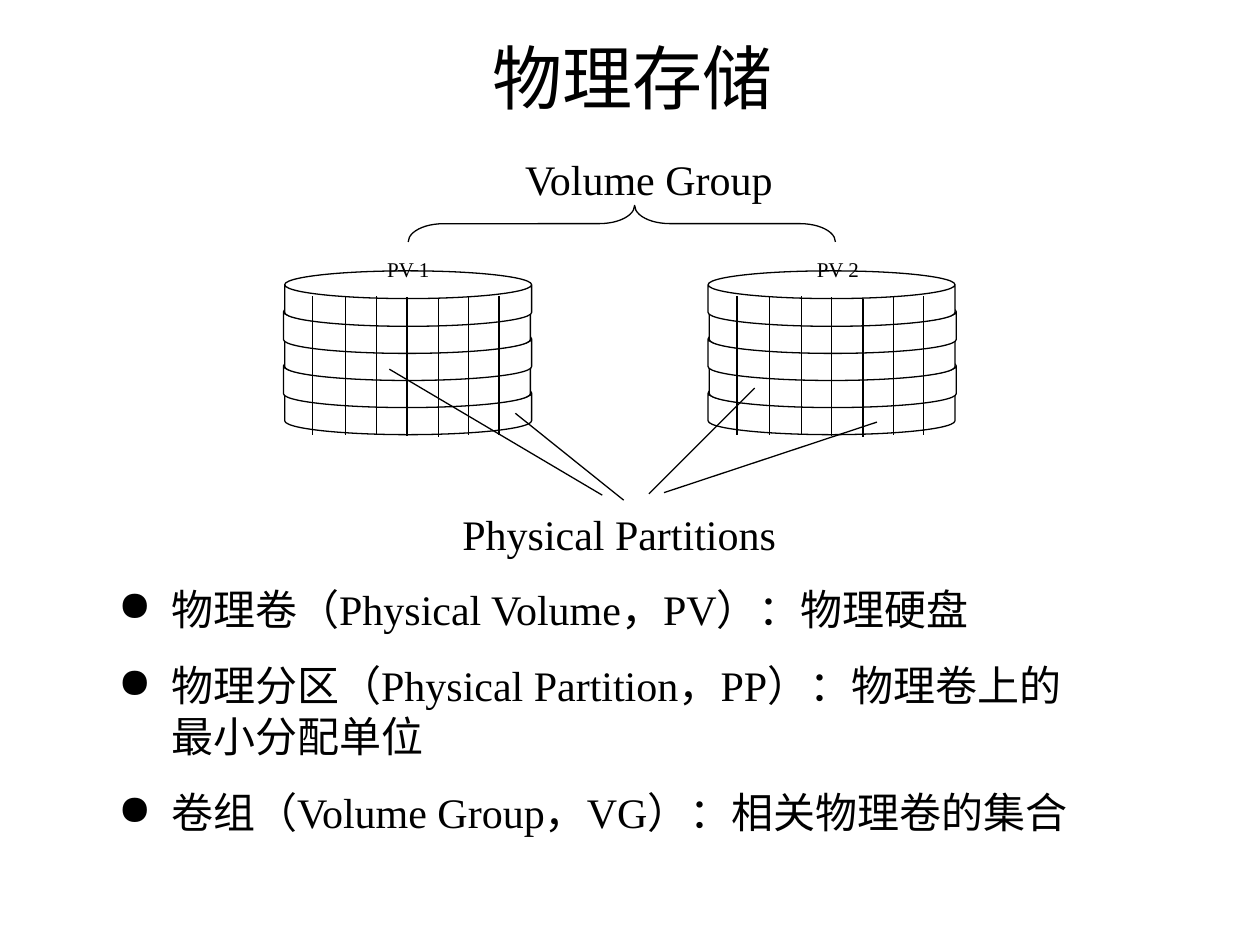
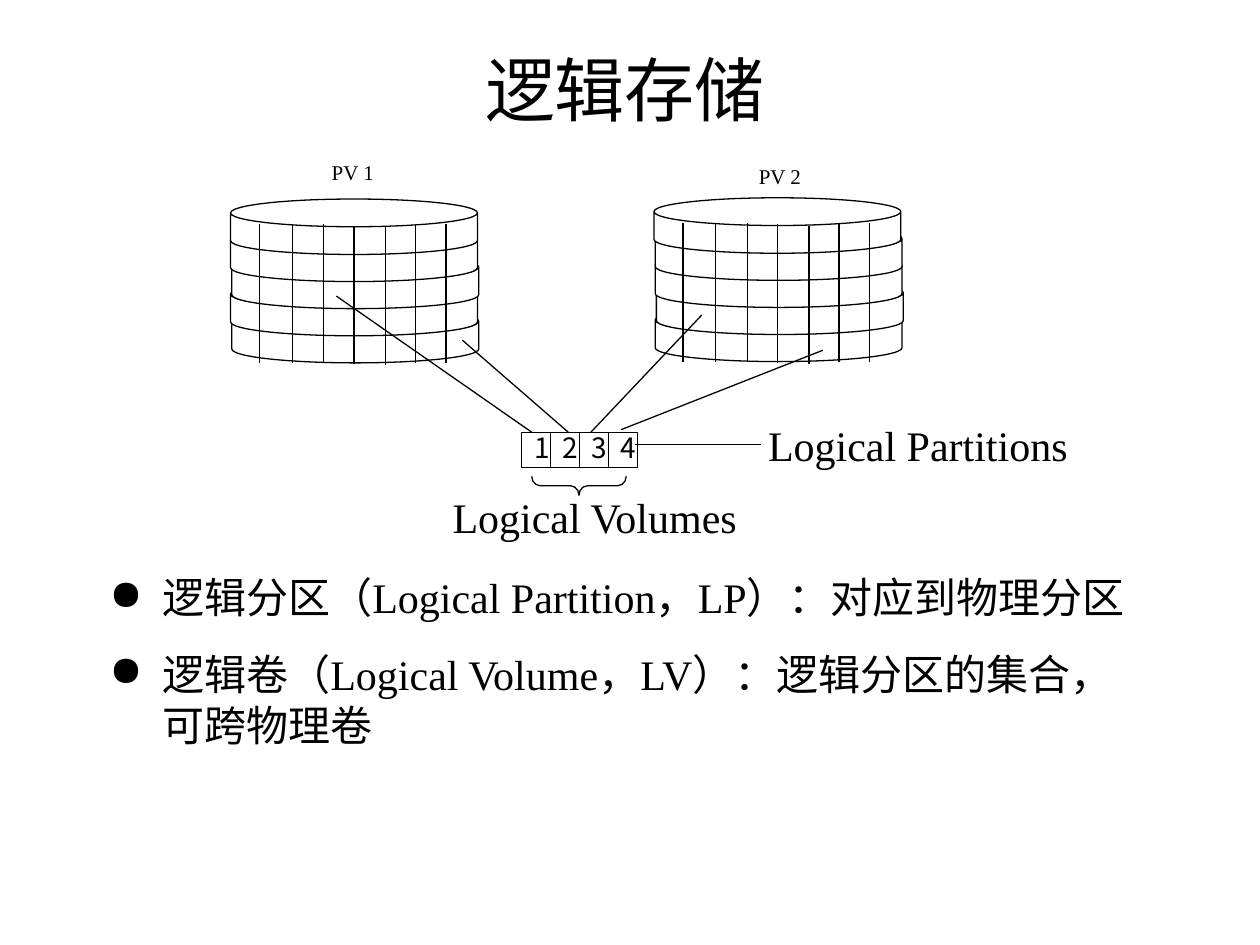
from pptx import Presentation
from pptx.util import Inches, Pt
from pptx.dml.color import RGBColor
from pptx.enum import shapes, text
from pptx.oxml import xmlchemy
from pptx.oxml.ns import qn
from lxml import etree

BLACK, WHITE = "000000", "FFFFFF"
SERIF, SANS = "Times New Roman", "Noto Sans CJK SC"
LINE_WIDTH = 0.75

PLATTER_SIZE = (1.96, 0.44)
PLATTER_PITCH = 0.215
TRACKS = [(0.23, 0.20), (0.49, 0.20), (0.74, 0.20), (0.98, 0.21),
          (1.23, 0.22), (1.47, 0.20), (1.71, 0.20)]
TRACK_LENGTH = 1.1

SLIDES = [
    {
        "title": ("物理存储", (0.77, 0.26, 8.5, 0.69)),
        "disks": [
            (2.25, 2.15, (0.01, 0, 0.01, 0, 0.01)),
            (5.62, 2.15, (0, 0.01, 0, 0.01, 0)),
        ],
        "disk_labels": [("PV 1", 2.97, 1.99), ("PV 2", 6.38, 1.99)],
        "captions": [
            ("Physical Partitions", (2.6, 3.99, 4.63, 0.5)),
            ("Volume Group", (2.96, 1.17, 4.38, 0.5)),
        ],
        "brace": ((4.79, 0.08, 0.29, 3.39), 90, (0.97, 0.47)),
        "pointers": [
            (4.09, 3.28, 4.95, 3.97), (5.99, 3.08, 5.15, 3.92),
            (3.09, 2.93, 4.78, 3.93), (6.96, 3.35, 5.27, 3.91),
        ],
        "partitions": [],
        "definitions": (
            ["物理卷（Physical Volume，PV）：物理硬盘",
             "物理分区（Physical Partition，PP）：物理卷上的最小分配单位",
             "卷组（Volume Group，VG）：相关物理卷的集合"],
            (0.84, 4.58, 7.9, 2.52)),
    },
    {
        "title": ("逻辑存储", (0.71, 0.34, 8.5, 0.73)),
        "disks": [
            (1.83, 1.58, (0, 0, 0.01, 0, 0.01)),
            (5.19, 1.57, (0, 0.01, 0.01, 0.02, 0.01)),
        ],
        "disk_labels": [("PV 1", 2.53, 1.22), ("PV 2", 5.92, 1.25)],
        "captions": [
            ("Logical Partitions", (5.68, 3.28, 3.21, 0.5)),
            ("Logical Volumes", (3.12, 3.85, 3.2, 0.5)),
        ],
        "brace": ((4.52, 3.48, 0.15, 0.75), 270, (0.45, 0.5)),
        "pointers": [
            (3.67, 2.7, 4.51, 3.43), (2.67, 2.35, 4.22, 3.43),
            (5.57, 2.5, 4.69, 3.43), (6.53, 2.78, 4.93, 3.41),
            (6.04, 3.53, 5.04, 3.53),
        ],
        "partitions": ["1", "2", "3", "4"],
        "definitions": (
            ["逻辑分区（Logical Partition，LP）：对应到物理分区",
             "逻辑卷（Logical Volume，LV）：逻辑分区的集合，可跨物理卷"],
            (0.77, 4.49, 8.3, 1.91)),
    },
]


def color(value):
    return RGBColor.from_string(value)


def inches(values):
    return [Inches(value) for value in values]


def draw_line(slide, ends):
    line = slide.shapes.add_connector(shapes.MSO_CONNECTOR.STRAIGHT, *inches(ends))
    line.line.color.rgb = color(BLACK)
    line.line.width = Pt(LINE_WIDTH)
    etree.SubElement(line._element.spPr, qn("a:effectLst"))


def draw_shape(slide, preset, box, fill=None, adjustments=()):
    shape = slide.shapes.add_shape(preset, *inches(box))
    shape.shadow.inherit = False
    if fill:
        shape.fill.solid()
        shape.fill.fore_color.rgb = color(fill)
    else:
        shape.fill.background()
    shape.line.color.rgb = color(BLACK)
    shape.line.width = Pt(LINE_WIDTH)
    for index, value in enumerate(adjustments):
        shape.adjustments[index] = value
    return shape


def style(paragraph, size, font=SERIF, align=text.PP_ALIGN.CENTER):
    paragraph.alignment = align
    for run in paragraph.runs:
        run.font.size = Pt(size)
        run.font.name = font
        run.font.color.rgb = color(BLACK)


def write(slide, words, box, size, anchor=text.MSO_ANCHOR.TOP, wrap=True):
    frame = slide.shapes.add_textbox(*inches(box)).text_frame
    frame.word_wrap = wrap
    frame.vertical_anchor = anchor
    frame.text = words
    style(frame.paragraphs[0], size)


def draw_disk(slide, left, top, shifts):
    for level, shift in reversed(list(enumerate(shifts))):
        box = (left + shift, top + level * PLATTER_PITCH, *PLATTER_SIZE)
        draw_shape(slide, shapes.MSO_SHAPE.CAN, box, WHITE, [0.5])
    for across, down in TRACKS:
        x, y = left + across, top + down
        draw_line(slide, (x, y, x, y + TRACK_LENGTH))


def draw_partitions(slide, numbers):
    for index, number in enumerate(numbers):
        box = (4.14 + index * 0.23, 3.43, 0.23, 0.28)
        frame = draw_shape(slide, shapes.MSO_SHAPE.RECTANGLE, box).text_frame
        frame.margin_top, frame.margin_bottom = Inches(0.02), Inches(0.03)
        frame.vertical_anchor = text.MSO_ANCHOR.TOP
        frame.word_wrap = True
        frame.text = number
        frame.paragraphs[0].line_spacing = 0.9
        style(frame.paragraphs[0], 16, SANS)


def write_definitions(slide, definitions, box):
    frame = slide.shapes.add_textbox(*inches(box)).text_frame
    frame.word_wrap = True
    frame.text = "\n".join(definitions)
    for index, paragraph in enumerate(frame.paragraphs):
        if index:
            paragraph.space_before = Pt(15)
        properties = paragraph._p.get_or_add_pPr()
        properties.set("marL", str(Inches(0.42)))
        properties.set("indent", str(-Inches(0.42)))
        bullet_color = etree.SubElement(properties, qn("a:buClr"))
        etree.SubElement(bullet_color, qn("a:srgbClr"), val=BLACK)
        etree.SubElement(properties, qn("a:buChar"), char="●")
        style(paragraph, 24, align=text.PP_ALIGN.LEFT)


def build_slide(deck, content):
    slide = deck.slides.add_slide(deck.slide_layouts[6])
    title, title_box = content["title"]
    write(slide, title, title_box, 40, text.MSO_ANCHOR.MIDDLE)
    write_definitions(slide, *content["definitions"])
    for disk in content["disks"]:
        draw_disk(slide, *disk)
    box, rotation, adjustments = content["brace"]
    brace = draw_shape(slide, shapes.MSO_SHAPE.LEFT_BRACE, box, adjustments=adjustments)
    brace.rotation = rotation
    for caption, caption_box in content["captions"]:
        write(slide, caption, caption_box, 24)
    for pointer in content["pointers"]:
        draw_line(slide, pointer)
    draw_partitions(slide, content["partitions"])
    for label, left, top in content["disk_labels"]:
        write(slide, label, (left, top, 0.54, 0.3), 12, text.MSO_ANCHOR.MIDDLE, wrap=False)


def main():
    deck = Presentation()
    deck.slide_width, deck.slide_height = Inches(10), Inches(7.5)
    for content in SLIDES:
        build_slide(deck, content)
    deck.save("out.pptx")


if __name__ == "__main__":
    main()
